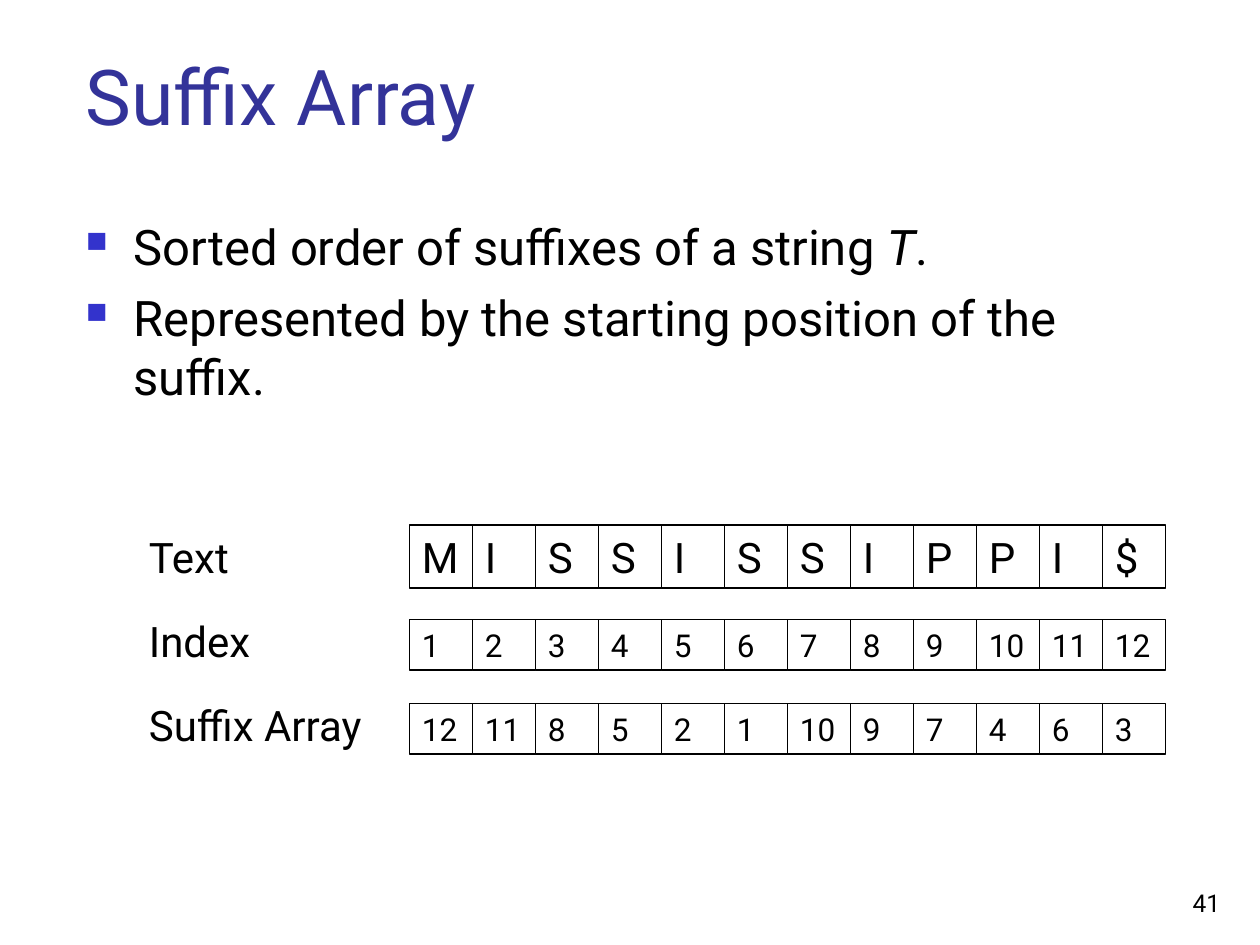
from lxml.etree import SubElement
from pptx import Presentation
from pptx.dml.color import RGBColor
from pptx.enum.shapes import MSO_SHAPE
from pptx.enum.text import MSO_ANCHOR, MSO_AUTO_SIZE, PP_ALIGN
from pptx.oxml.ns import qn
from pptx.util import Inches, Pt


def color(value):
    """Turn a hex string into a colour."""
    return RGBColor.from_string(value)


class SlideBuilder:
    """Place styled elements on a slide by units of a 120 by 90 grid."""

    font = "Roboto"
    ink = "000000"
    title_ink = "333399"
    bullet_ink = "3333CC"
    unit = Inches(1) / 12

    def __init__(self, presentation):
        """Add a blank slide to the presentation."""
        self.slide = presentation.slides.add_slide(presentation.slide_layouts[6])

    def place(self, *lengths):
        """Convert grid units into slide lengths."""
        return [round(length * self.unit) for length in lengths]

    def style(self, paragraph, size, ink=ink):
        """Set the font of a paragraph."""
        paragraph.font.name = self.font
        paragraph.font.size = Pt(size)
        paragraph.font.color.rgb = color(ink)

    def text(self, content, box, size, ink=ink, anchor=MSO_ANCHOR.TOP, align=PP_ALIGN.LEFT):
        """Add a text box with one paragraph."""
        frame = self.slide.shapes.add_textbox(*self.place(*box)).text_frame
        frame.word_wrap = True
        frame.vertical_anchor = anchor
        paragraph = frame.paragraphs[0]
        paragraph.text = content
        paragraph.alignment = align
        self.style(paragraph, size, ink)

    def bullets(self, items, box, size):
        """Add a bulleted list whose items are lists of (text, italic) runs."""
        frame = self.slide.shapes.add_textbox(*self.place(*box)).text_frame
        frame.word_wrap = True
        for number, item in enumerate(items):
            paragraph = frame.add_paragraph() if number else frame.paragraphs[0]
            properties = paragraph._p.get_or_add_pPr()
            properties.set("marL", str(Inches(0.38)))
            properties.set("indent", str(-Inches(0.38)))
            bullet_color = SubElement(properties, qn("a:buClr"))
            SubElement(bullet_color, qn("a:srgbClr"), val=self.bullet_ink)
            SubElement(properties, qn("a:buSzPct"), val="60000")
            SubElement(properties, qn("a:buChar"), char="■")
            if number:
                paragraph.space_before = Pt(7)
            self.style(paragraph, size)
            for content, italic in item:
                run = paragraph.add_run()
                run.text = content
                if italic:
                    run.font.italic = True

    def cell(self, content, box, size):
        """Add an outlined square holding one entry."""
        shape = self.slide.shapes.add_shape(MSO_SHAPE.RECTANGLE, *self.place(*box))
        shape.shadow.inherit = False
        shape.fill.background()
        shape.line.color.rgb = color(self.ink)
        shape.line.width = Pt(1)
        frame = shape.text_frame
        frame.word_wrap = True
        frame.auto_size = MSO_AUTO_SIZE.SHAPE_TO_FIT_TEXT
        frame.vertical_anchor = MSO_ANCHOR.TOP
        paragraph = frame.paragraphs[0]
        paragraph.text = str(content)
        paragraph.alignment = PP_ALIGN.LEFT
        self.style(paragraph, size)

    def array(self, entries, top, height, size, left=39, width=6):
        """Add a row of adjoining cells."""
        for column, entry in enumerate(entries):
            self.cell(entry, (left + column * width, top, width, height), size)


def main():
    """Build the suffix array slide."""
    presentation = Presentation()
    presentation.slide_width, presentation.slide_height = Inches(10), Inches(7.5)
    builder = SlideBuilder(presentation)
    builder.text("Suffix Array", (7, 2.8, 109, 11.2), 44, builder.title_ink, MSO_ANCHOR.BOTTOM)
    builder.bullets(
        [
            [("Sorted order of suffixes of a string ", False), ("T", True), (".", False)],
            [("Represented by the starting position of the suffix.", False)],
        ],
        (7, 20, 108, 23),
        28,
    )

    string = "MISSISSIPPI$"
    positions = range(1, len(string) + 1)
    suffix_array = [12, 11, 8, 5, 2, 1, 10, 9, 7, 4, 6, 3]
    builder.array(string, 50, 6, 24)
    builder.array(positions, 59, 4.8, 18)
    builder.array(suffix_array, 67, 4.8, 18)
    for label, top, width, height in (
        ("Text", 50, 12, 6),
        ("Index", 58, 14, 6),
        ("Suffix Array", 66, 24, 10.8),
    ):
        builder.text(label, (13, top, width, height), 24)

    builder.text("41", (92.4, 82, 25, 6), 14, anchor=MSO_ANCHOR.BOTTOM, align=PP_ALIGN.RIGHT)
    presentation.save("out.pptx")


if __name__ == "__main__":
    main()
